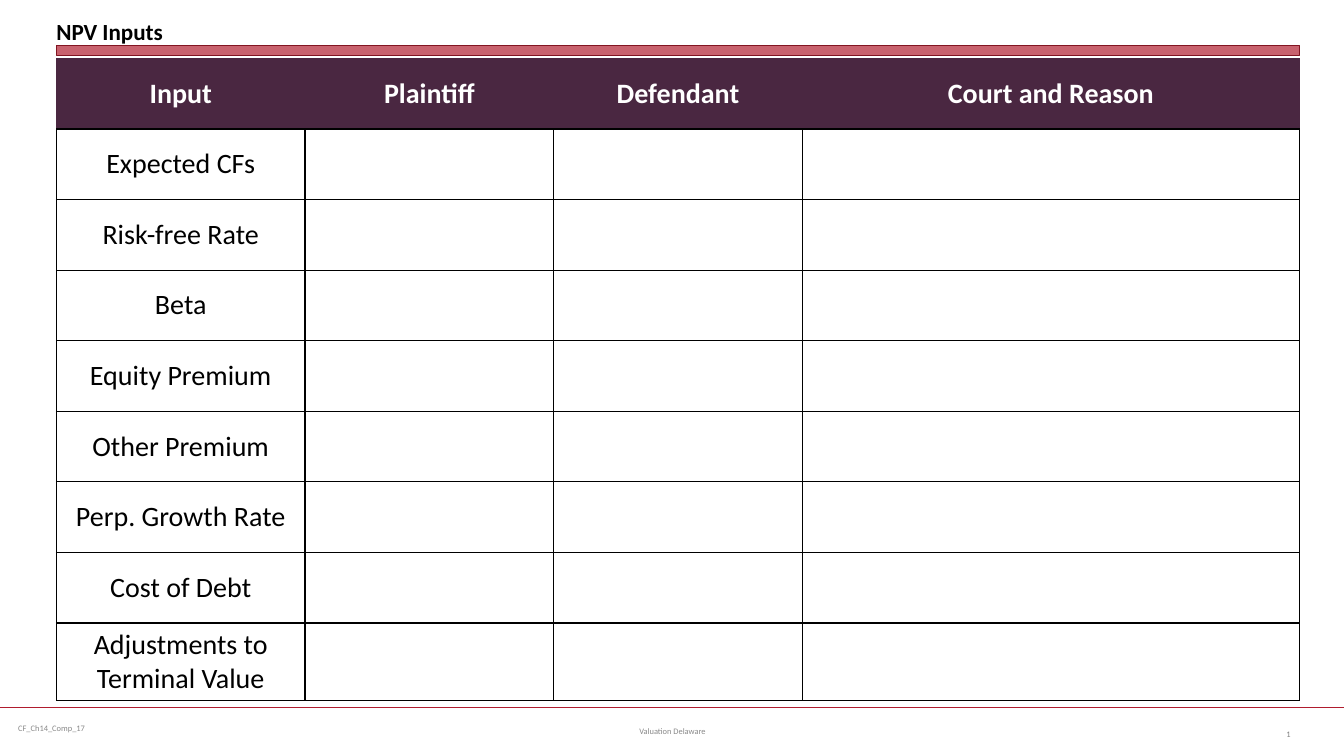
from lxml import etree
from pptx import Presentation
from pptx import util as u
from pptx.dml.color import RGBColor
from pptx.enum import shapes, text
from pptx.oxml.ns import qn

FONT = "Calibri"
PLUM, RED, BLACK = "4A2741", "B01C2E", "000000"
LEFT, WIDE = 0.56, 12.33
HEADS = ["Input", "Plaintiff", "Defendant", "Court and Reason"]
INPUTS = ["Expected CFs", "Risk-free Rate", "Beta", "Equity Premium",
          "Other Premium", "Perp. Growth Rate", "Cost of Debt",
          "Adjustments to Terminal Value"]
ALIGN = {"l": text.PP_ALIGN.LEFT, "c": text.PP_ALIGN.CENTER,
         "r": text.PP_ALIGN.RIGHT}
MIDDLE = text.MSO_ANCHOR.MIDDLE


def color(code):
    return RGBColor.from_string(code)


def inches(box):
    return [u.Inches(n) for n in box]


def apply(item, **form):
    for key, value in form.items():
        setattr(item, key, value)


def write(frame, words, size, code, bold=False, align="l"):
    para = frame.paragraphs[0]
    para.alignment = ALIGN[align]
    run = para.add_run()
    run.text = words
    apply(run.font, name=FONT, size=u.Pt(size), bold=bold)
    run.font.color.rgb = color(code)


def label(slide, box, words, size, code, bold=False, align="l",
          anchor=MIDDLE, pad=(0.1, 0.05)):
    frame = slide.shapes.add_textbox(*inches(box)).text_frame
    side, end = inches(pad)
    apply(frame, word_wrap=True, vertical_anchor=anchor, margin_left=side,
          margin_right=side, margin_top=end, margin_bottom=end)
    write(frame, words, size, code, bold, align)


def border(cell, edges):
    # Edge lines come before the fill in the cell properties
    props = cell._tc.get_or_add_tcPr()
    for spot, (tag, (code, width)) in enumerate(edges.items()):
        line = etree.Element(qn("a:" + tag), w=str(u.Pt(width)))
        fill = etree.SubElement(line, qn("a:solidFill"))
        etree.SubElement(fill, qn("a:srgbClr"), val=code)
        props.insert(spot, line)


def header(slide, box):
    left, top, width, height = box
    label(slide, (left, top, width, height - 0.1), "NPV Inputs", 16.5, BLACK,
          bold=True, anchor=text.MSO_ANCHOR.BOTTOM, pad=(0, 0))
    # Translucent rule under the title
    bar = slide.shapes.add_shape(
        shapes.MSO_SHAPE.RECTANGLE,
        *inches((left, top + height - 0.1, width, 0.1)))
    bar.shadow.inherit = False
    bar.fill.solid()
    bar.fill.fore_color.rgb = color(RED)
    tint = bar.fill._xPr.find(".//" + qn("a:srgbClr"))
    etree.SubElement(tint, qn("a:alpha"), val="69000")
    bar.line.color.rgb = color("821522")
    bar.line.width = 0


def grid(slide, box):
    rows = [HEADS] + [[name, "", "", ""] for name in INPUTS]
    table = slide.shapes.add_table(len(rows), len(HEADS), *inches(box)).table
    table.horz_banding = False
    # The last column is twice as wide as the others
    for col, share in zip(table.columns, (1, 1, 1, 2)):
        col.width = u.Inches(box[2] * share / 5)
    for r, row in enumerate(rows):
        table.rows[r].height = u.Inches(0.7)
        top = r == 0
        edge = (PLUM, 0.75) if top else (BLACK, 1)
        for c, words in enumerate(row):
            cell = table.cell(r, c)
            cell.vertical_anchor = MIDDLE
            cell.fill.solid()
            cell.fill.fore_color.rgb = color(PLUM if top else "FFFFFF")
            border(cell, {"lnL": edge, "lnR": edge, "lnT": edge,
                          "lnB": (BLACK, 1)})
            if words:
                write(cell.text_frame, words, 20,
                      "FFFFFF" if top else BLACK, top, "c")


def footer(slide, box):
    left, top, width, height = box
    rule = slide.shapes.add_connector(
        shapes.MSO_CONNECTOR.STRAIGHT,
        *inches((left, top, left + width, top)))
    rule.line.color.rgb = color(RED)
    rule.line.width = u.Pt(1.25)
    etree.SubElement(rule._element.spPr, qn("a:effectLst"))
    # Code, course and page number
    label(slide, (left + 0.11, top, 3.44, height), "CF_Ch14_Comp_17", 6,
          "898989", pad=(0.07, 0.04))
    label(slide, (left + 4.56, top + 0.03, 4.22, height),
          "Valuation Delaware", 6, "898989", align="c")
    label(slide, (left + 12.23, top + 0.06, 0.67, height), "1", 6,
          "808080", align="r")


deck = Presentation()
apply(deck, slide_width=u.Inches(13.33), slide_height=u.Inches(7.5))
slide = deck.slides.add_slide(deck.slide_layouts[6])
footer(slide, (0, 7.02, 13.33, 0.4))
header(slide, (LEFT, 0.05, WIDE, 0.5))
grid(slide, (LEFT, 0.58, WIDE, 6.38))
deck.save("out.pptx")
